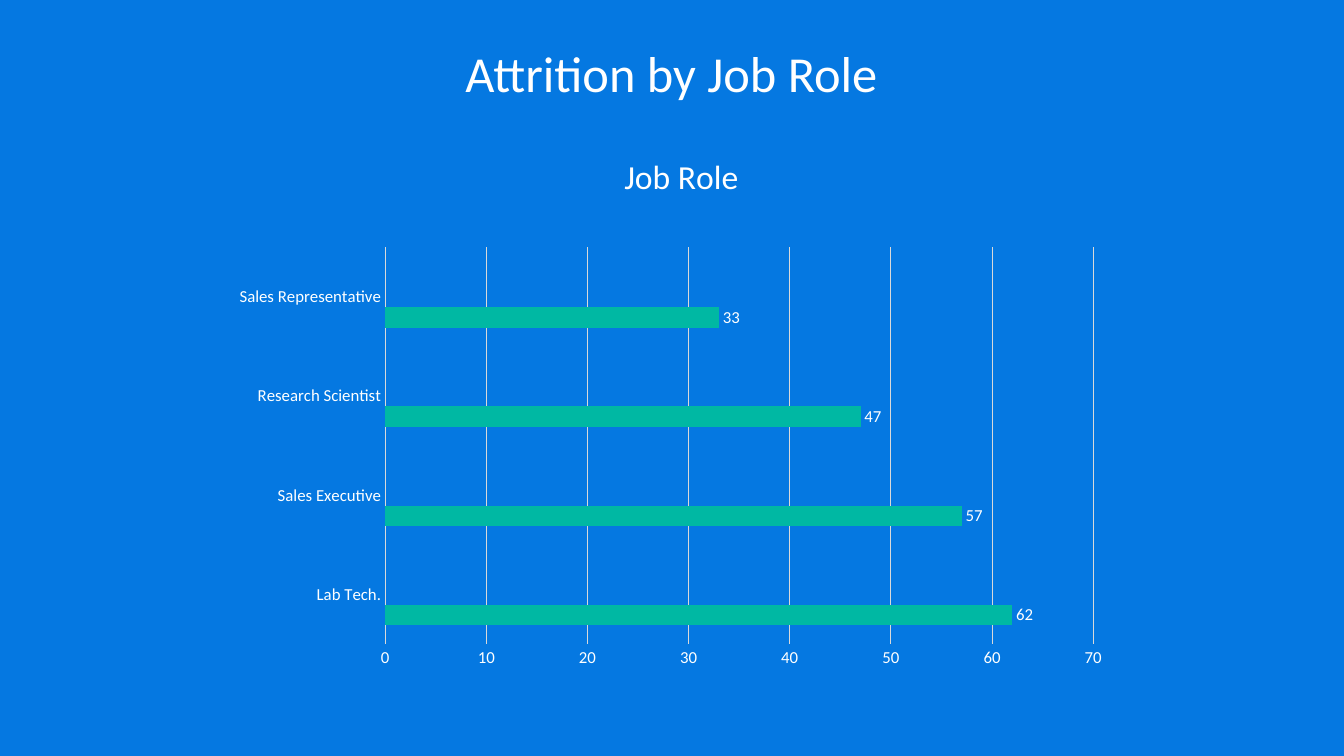
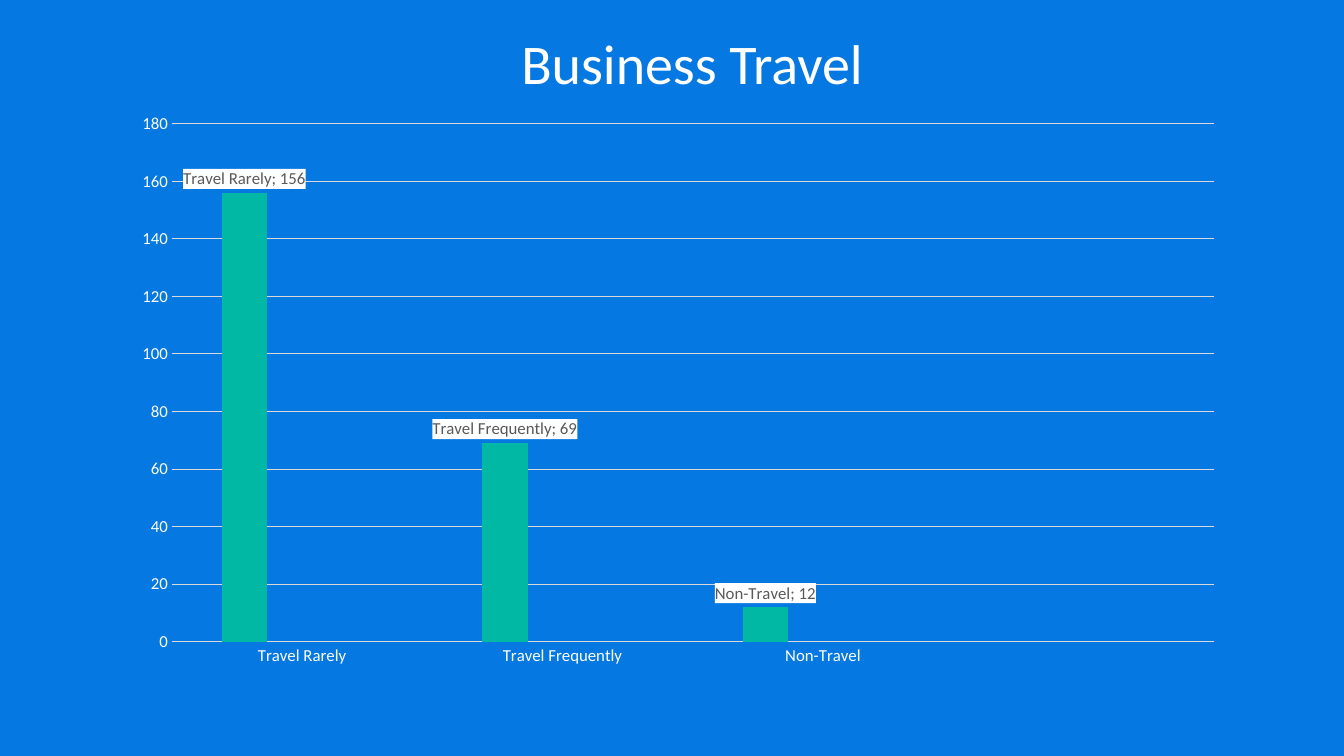
from dataclasses import dataclass

from pptx import Presentation
from pptx.chart.data import CategoryChartData
from pptx.dml.color import RGBColor
from pptx.enum.chart import XL_CHART_TYPE as ChartType
from pptx.enum.chart import XL_LABEL_POSITION as LabelPosition
from pptx.enum.chart import XL_TICK_MARK as TickMark
from pptx.enum.text import PP_ALIGN as Align
from pptx.oxml import parse_xml
from pptx.oxml.ns import nsdecls, qn
from pptx.util import Inches, Pt


@dataclass(frozen=True)
class Theme:
    font: str = "Calibri"
    background: str = "0578E1"
    light: str = "FFFFFF"
    dark: str = "595959"
    grid: str = "D9D9D9"
    series: tuple = ("00B8A3", "877CC8", "00B0F4")
    chart_title_size: int = 24
    label_size: int = 12
    line_width: float = 0.75


THEME = Theme()

# Content: boxes in inches; plot and title_at are fractions of the chart
SLIDES = [
    dict(
        title="Attrition by Job Role", title_size=36, title_box=(0.69, 0.37, 11.94, 1.31),
        kind=ChartType.BAR_CLUSTERED, chart_box=(2.22, 1.25, 8.89, 5.47),
        categories=["Lab Tech.", "Sales Executive", "Research Scientist", "Sales Representative"],
        values=[62, 57, 47, 33],
        chart_title="Job Role", title_at=(0.44, 0.04), plot=(0.18, 0.22, 0.79, 0.72),
        gap=182, overlap=0, axis_max=70, axis_step=10, boxed_labels=False,
    ),
    dict(
        title="Business Travel", title_size=40, title_box=(1.31, 0.23, 11.11, 0.77),
        kind=ChartType.COLUMN_CLUSTERED, chart_box=(1.15, 1, 11.11, 5.71),
        categories=["Travel Rarely", "Travel Frequently", "Non-Travel", ""],
        values=[156, 69, 12, None],
        chart_title=None, title_at=None, plot=(0.05, 0.04, 0.93, 0.9),
        gap=219, overlap=-27, axis_max=180, axis_step=20, boxed_labels=True,
    ),
]


def color(value):
    return RGBColor.from_string(value)


def style_font(font, size, value):
    font.name = THEME.font
    font.size = Pt(size)
    font.bold = False
    font.color.rgb = color(value)


def style_line(line):
    line.color.rgb = color(THEME.grid)
    line.width = Pt(THEME.line_width)


def place(element, position, index, inner=False):
    """Give a chart part a manual layout: x, y and optionally width, height."""
    old = element.find(qn("c:layout"))
    if old is not None:
        index = element.index(old)
        element.remove(old)
    target = '<c:layoutTarget val="inner"/>' if inner else ""
    modes = '<c:xMode val="edge"/><c:yMode val="edge"/>'
    sizes = "".join(f'<c:{name} val="{value}"/>' for name, value in zip("xywh", position))
    element.insert(index, parse_xml(
        f'<c:layout {nsdecls("c")}><c:manualLayout>{target}{modes}{sizes}'
        "</c:manualLayout></c:layout>"))


def add_title(page, content):
    box = page.shapes.add_textbox(*map(Inches, content["title_box"]))
    box.text_frame.word_wrap = True
    para = box.text_frame.paragraphs[0]
    para.text = content["title"]
    para.alignment = Align.CENTER
    style_font(para.font, content["title_size"], THEME.light)


def style_axes(chart, content):
    for axis in (chart.category_axis, chart.value_axis):
        axis.major_tick_mark = axis.minor_tick_mark = TickMark.NONE
        style_font(axis.tick_labels.font, THEME.label_size, THEME.light)
    chart.category_axis.has_major_gridlines = False
    style_line(chart.category_axis.format.line)
    values = chart.value_axis
    values.minimum_scale = 0
    values.maximum_scale = content["axis_max"]
    values.major_unit = content["axis_step"]
    values.has_major_gridlines = True
    values.format.line.fill.background()
    style_line(values.major_gridlines.format.line)


def style_series(chart, content):
    plot = chart.plots[0]
    plot.vary_by_categories = False
    plot.gap_width = content["gap"]
    plot.overlap = content["overlap"]
    boxed = content["boxed_labels"]
    for series, fill in zip(plot.series, THEME.series):
        series.format.fill.solid()
        series.format.fill.fore_color.rgb = color(fill)
        labels = series.data_labels
        style_font(labels.font, THEME.label_size, THEME.dark if boxed else THEME.light)
        labels.position = LabelPosition.OUTSIDE_END
        labels.show_value = True
        labels.show_category_name = boxed
    if boxed:
        # Solid box behind each label
        for text in chart.element.xpath(".//c:ser/c:dLbls/c:txPr"):
            text.addprevious(parse_xml(
                f'<c:spPr {nsdecls("c", "a")}><a:solidFill>'
                f'<a:srgbClr val="{THEME.light}"/></a:solidFill></c:spPr>'))


def add_bars(page, content):
    # Only the first series has values; the others keep their space
    data = CategoryChartData()
    data.categories = content["categories"]
    empty = [None] * len(content["categories"])
    for number in range(1, len(THEME.series) + 1):
        data.add_series(f"Series {number}", content["values"] if number == 1 else empty)
    frame = page.shapes.add_chart(content["kind"], *map(Inches, content["chart_box"]), data)
    chart = frame.chart
    chart.has_legend = False
    style_font(chart.font, THEME.label_size, THEME.light)

    chart.has_title = content["chart_title"] is not None
    if chart.has_title:
        para = chart.chart_title.text_frame.paragraphs[0]
        para.text = content["chart_title"]
        style_font(para.font, THEME.chart_title_size, THEME.light)
        place(chart.element.xpath("c:chart/c:title")[0], content["title_at"], 1)
    place(chart.element.xpath("c:chart/c:plotArea")[0], content["plot"], 0, inner=True)
    style_axes(chart, content)
    style_series(chart, content)


def main():
    deck = Presentation()
    deck.slide_width, deck.slide_height = Inches(13.33), Inches(7.5)
    # Shared background
    fill = deck.slide_master.background.fill
    fill.solid()
    fill.fore_color.rgb = color(THEME.background)
    for content in SLIDES:
        page = deck.slides.add_slide(deck.slide_layouts[6])
        add_title(page, content)
        add_bars(page, content)
    deck.save("out.pptx")


if __name__ == "__main__":
    main()
